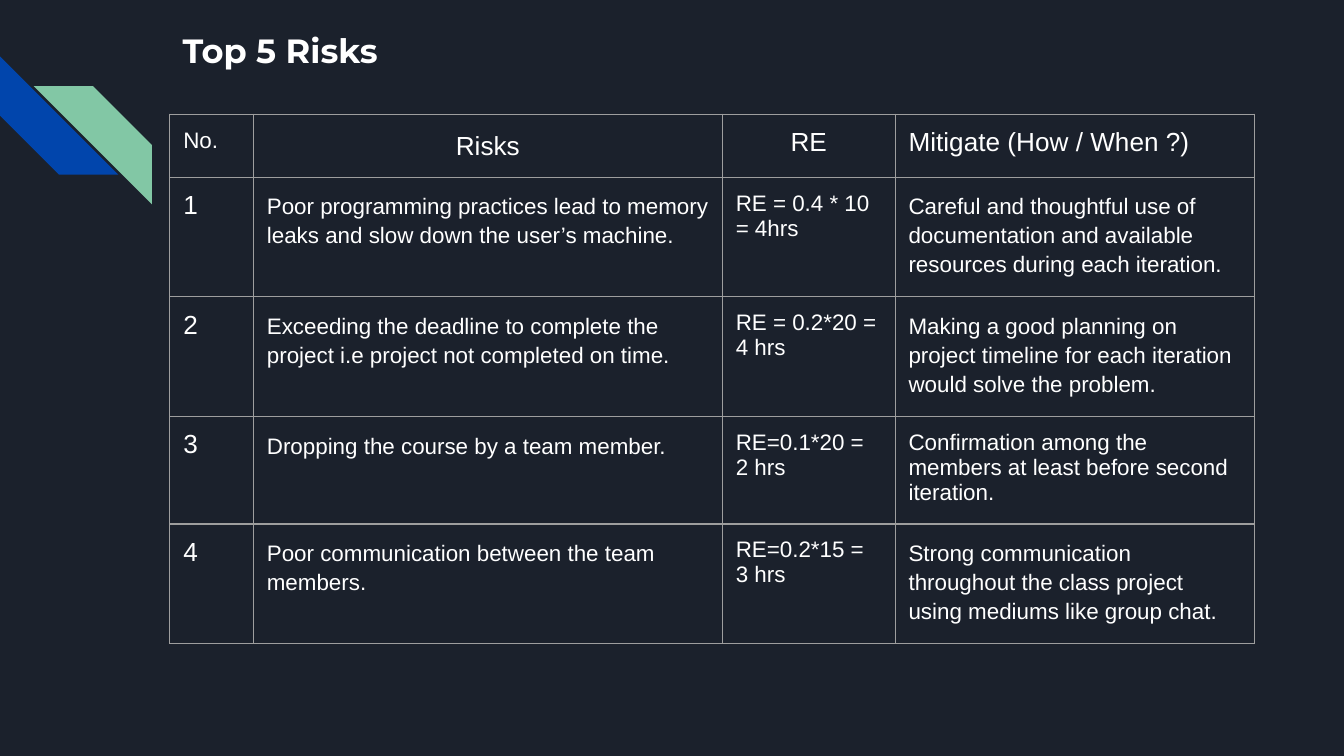
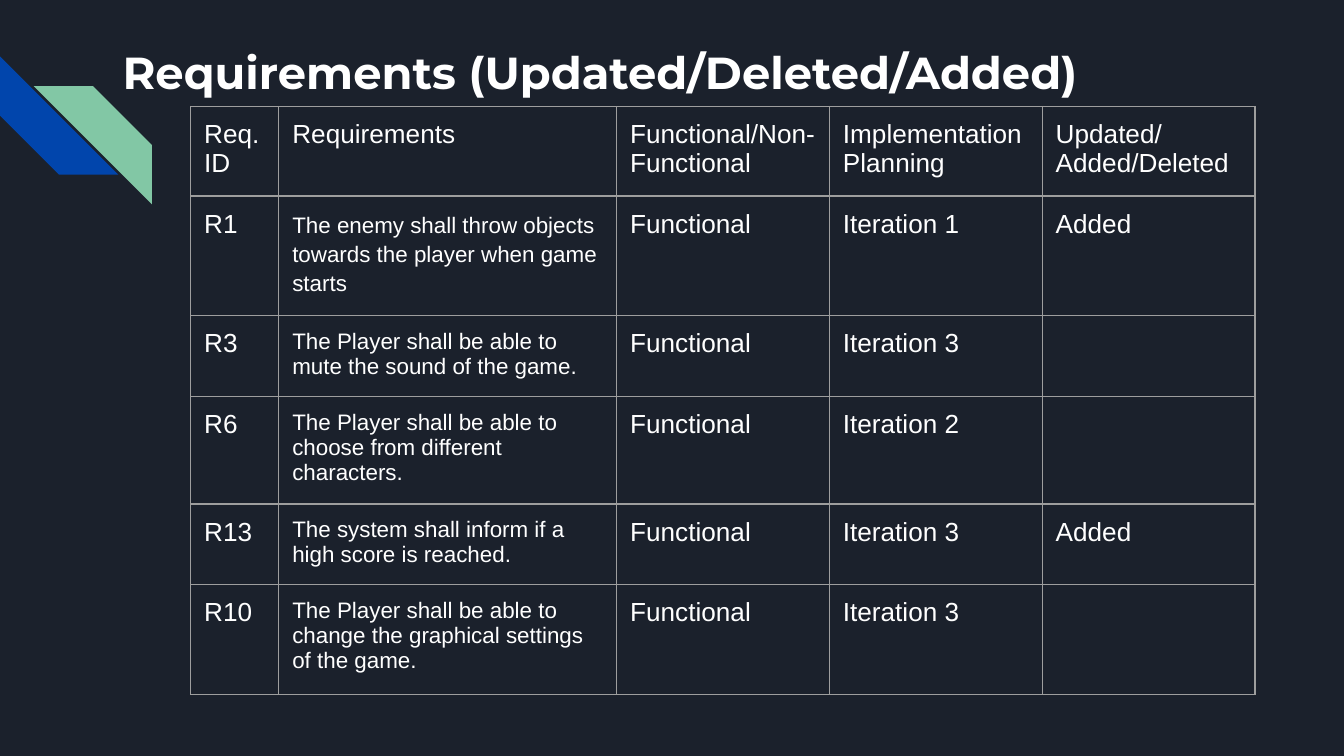
from lxml import etree
from pptx import Presentation
from pptx.dml.color import RGBColor
from pptx.enum.shapes import MSO_SHAPE
from pptx.enum.text import MSO_ANCHOR, PP_ALIGN
from pptx.oxml.ns import qn
from pptx.util import Pt

STRIPE = MSO_SHAPE.DIAGONAL_STRIPE
CENTER = PP_ALIGN.CENTER
TOP = MSO_ANCHOR.TOP

COLORS = {
    "back": "1B212C",
    "text": "FFFFFF",
    "blue": "0145AC",
    "green": "82C7A5",
    "rule": "9E9E9E",
}
HEAD_FONT, BODY_FONT = "Montserrat", "Arial"
PAD = Pt(7.2)
INSETS = {f"margin_{side}": PAD for side in ("left", "top", "right", "bottom")}

# Each style holds a size in points and paragraph settings.
STYLES = {
    "small": (12, {}),
    "loose": (12, {"line_spacing": 1.15}),
    "large": (14, {}),
    "mid": (14, {"alignment": CENTER}),
    "mid loose": (14, {"alignment": CENTER, "line_spacing": 1.15}),
}

RISKS = [
    ["No.", "Risks", "RE", "Mitigate (How / When ?)"],
    ["1", "Poor programming practices lead to memory leaks and slow down the user’s machine.",
     "RE = 0.4 * 10 = 4hrs",
     "Careful and thoughtful use of documentation and available resources during each iteration."],
    ["2", "Exceeding the deadline to complete the project i.e project not completed on time.",
     "RE = 0.2*20 = 4 hrs",
     "Making a good planning on project timeline for each iteration would solve the problem."],
    ["3", "Dropping the course by a team member.", "RE=0.1*20 = 2 hrs",
     "Confirmation among the members at least before second iteration."],
    ["4", "Poor communication between the team members.", "RE=0.2*15 = 3 hrs",
     "Strong communication throughout the class project using mediums like group chat."],
]
NEEDS = [
    ["Req. ID", "Requirements", "Functional/Non-Functional",
     "Implementation\nPlanning", "Updated/Added/Deleted"],
    ["R1", "The enemy shall throw objects towards the player when game starts",
     "Functional", "Iteration 1", "Added"],
    ["R3", "The Player shall be able to mute the sound of the game.",
     "Functional", "Iteration 3", ""],
    ["R6", "The Player shall be able to choose from different characters.",
     "Functional", "Iteration 2", ""],
    ["R13", "The system shall inform if a high score is reached.",
     "Functional", "Iteration 3", "Added"],
    ["R10", "The Player shall be able to change the graphical settings of the game.",
     "Functional", "Iteration 3", ""],
]


def rgb(name):
    return RGBColor.from_string(COLORS[name])


def apply(target, values):
    for name, value in values.items():
        setattr(target, name, value)


def write(frame, text, font, layout):
    """Fill a text frame, with one paragraph for each line of text."""
    frame.text = text
    for para in frame.paragraphs:
        apply(para, layout)
        for run in para.runs:
            apply(run.font, font)
            run.font.color.rgb = rgb("text")


def add_stripe(slide, left, top, turn, color):
    shape = slide.shapes.add_shape(STRIPE, Pt(left), Pt(top), Pt(63.4), Pt(63.4))
    shape.adjustments[0] = 0.5
    shape.rotation = turn
    shape.shadow.inherit = False
    shape.fill.solid()
    shape.fill.fore_color.rgb = rgb(color)
    shape.line.fill.background()


def add_title(slide, text, left, top, height, size):
    box = slide.shapes.add_textbox(Pt(left), Pt(top), Pt(554.4), Pt(height))
    apply(box.text_frame, {**INSETS, "word_wrap": True, "vertical_anchor": TOP})
    font = {"size": Pt(size), "name": HEAD_FONT, "bold": True}
    write(box.text_frame, text, font, {})


def add_rules(cell):
    """Draw a thin line on all four sides of a cell."""
    props = cell._tc.get_or_add_tcPr()
    for side in ("lnL", "lnR", "lnT", "lnB"):
        line = etree.SubElement(props, qn(f"a:{side}"), w=str(Pt(0.75)))
        fill = etree.SubElement(line, qn("a:solidFill"))
        etree.SubElement(fill, qn("a:srgbClr"), val=COLORS["rule"])


def add_grid(slide, left, top, widths, heights, rows, heads, body, odd):
    """Add a table; heads and body name a style per column, odd one per cell."""
    frame = slide.shapes.add_table(len(rows), len(widths), Pt(left), Pt(top),
                                   Pt(sum(widths)), Pt(sum(heights)))
    table = frame.table
    apply(table, {"first_row": False, "horz_banding": False})
    for col, width in zip(table.columns, widths):
        col.width = Pt(width)
    for row, height in zip(table.rows, heights):
        row.height = Pt(height)
    for r, texts in enumerate(rows):
        for c, text in enumerate(texts):
            cell = table.cell(r, c)
            style = odd.get((r, c), body[c] if r else heads[c])
            size, layout = STYLES[style]
            apply(cell, INSETS)
            write(cell.text_frame, text, {"size": Pt(size), "name": BODY_FONT}, layout)
            add_rules(cell)
            cell.fill.background()


def add_slide(deck):
    slide = deck.slides.add_slide(deck.slide_layouts[6])
    slide.background.fill.solid()
    slide.background.fill.fore_color.rgb = rgb("back")
    add_stripe(slide, 0, 30.2, 270, "blue")
    add_stripe(slide, 18, 46.1, 90, "green")
    return slide


def main():
    deck = Presentation()
    apply(deck, {"slide_width": Pt(720), "slide_height": Pt(405)})

    slide = add_slide(deck)
    add_title(slide, "Top 5 Risks", 90.8, 8.6, 37.4, 18)
    add_grid(slide, 91, 61.2, [44.8, 251.2, 92.6, 192.4], [26, 64, 64, 47.5, 61], RISKS,
             heads=["small", "mid loose", "mid", "large"],
             body=["large", "loose", "small", "loose"],
             odd={(3, 3): "small"})

    slide = add_slide(deck)
    add_title(slide, "Requirements (Updated/Deleted/Added)", 58.6, 16.6, 72, 24)
    add_grid(slide, 102.2, 57, [47.2, 181] + [114] * 3, [30.2] * 5 + [59], NEEDS,
             heads=["large"] * 5,
             body=["large", "small"] + ["large"] * 3,
             odd={(1, 1): "loose"})

    deck.save("out.pptx")


if __name__ == "__main__":
    main()
